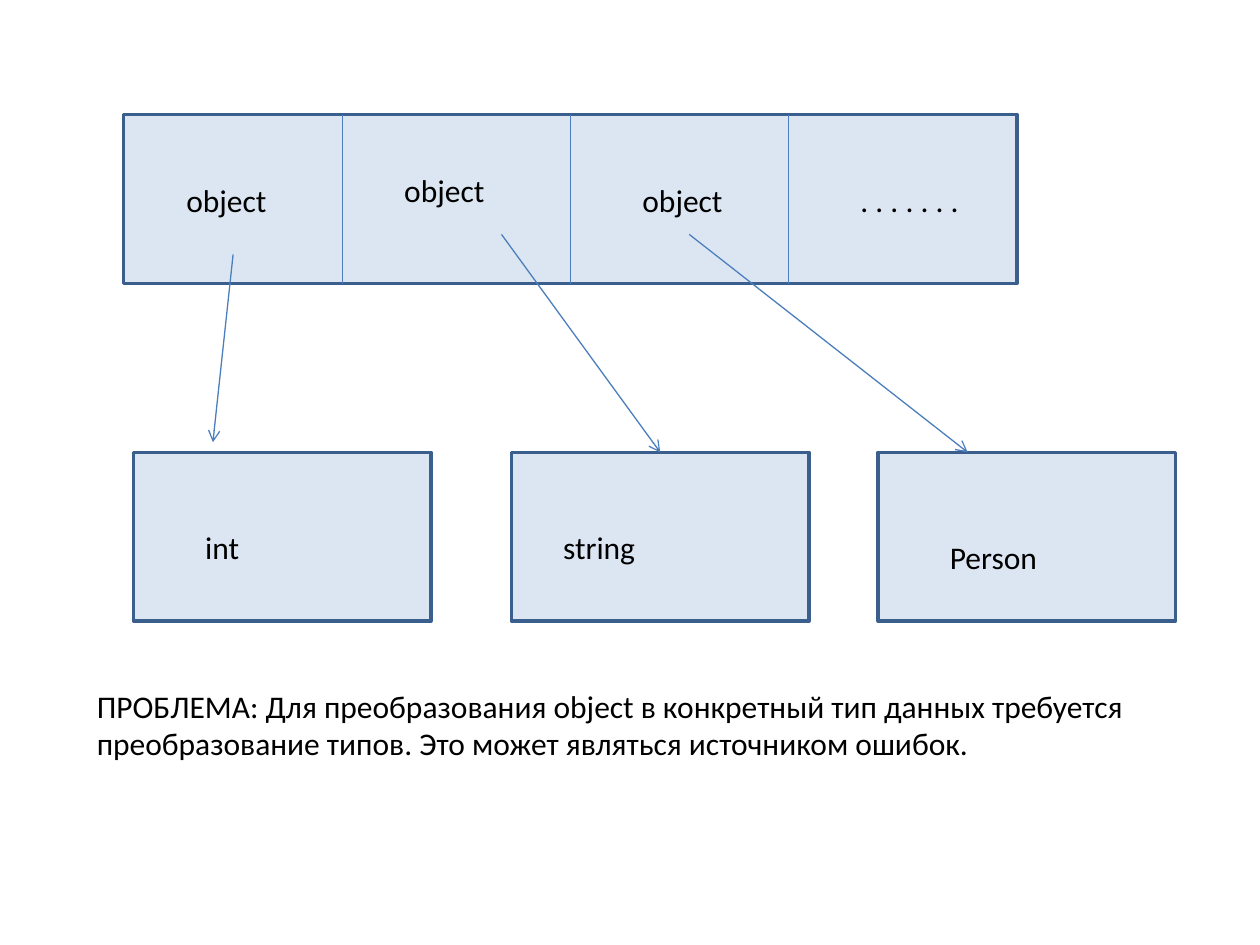
from pptx import Presentation
from pptx import util as u
from pptx.dml.color import RGBColor
from pptx.enum import shapes, text
from pptx.oxml.ns import qn
from lxml import etree

# Content: positions and sizes in inches
COLORS = {"fill": "DCE6F2", "border": "3A5F8C", "line": "4B7EBC", "text": "000000"}
ARRAY = (0.98, 0.91, 7.09, 1.34)
DIVIDERS = [2.72, 4.53, 6.26]
BOX_TOP, BOX_W, BOX_H = 3.59, 2.36, 1.34
BOX_LEFTS = [1.06, 4.06, 6.97]
# start, end, index of the box joined at its top middle
ARROWS = [
    ((1.85, 2.02), (1.69, 3.51), None),
    ((3.98, 1.86), (5.24, BOX_TOP), 1),
    ((5.47, 1.86), (7.68, BOX_TOP), None),
]
LABELS = [
    ("object", 1.38, 1.39, 0.95, 0.4),
    ("object", 3.11, 1.31, 0.95, 0.4),
    ("object", 5.0, 1.39, 0.95, 0.4),
    (". . . . . . .", 6.73, 1.39, 1.02, 0.4),
    ("int", 1.53, 4.14, 1.34, 0.4),
    ("string", 4.37, 4.14, 1.81, 0.4),
    ("Person", 7.44, 4.22, 1.42, 0.4),
    ("ПРОБЛЕМА: Для преобразования object в конкретный тип данных требуется "
     "преобразование типов. Это может являться источником ошибок.",
     0.67, 5.4, 8.66, 0.71),
]

prs = Presentation()
prs.slide_width, prs.slide_height = u.Inches(10), u.Inches(7.5)
s = prs.slides.add_slide(prs.slide_layouts[6])


def color(name):
    return RGBColor.from_string(COLORS[name])


def add_box(*at):
    sp = s.shapes.add_shape(shapes.MSO_SHAPE.RECTANGLE, *map(u.Inches, at))
    sp.shadow.inherit = False
    sp.fill.solid()
    sp.fill.fore_color.rgb = color("fill")
    sp.line.color.rgb = color("border")
    sp.line.width = u.Pt(2)
    return sp


def add_line(start, end, arrow=False):
    cx = s.shapes.add_connector(shapes.MSO_CONNECTOR.STRAIGHT,
                                *map(u.Inches, start + end))
    cx.line.color.rgb = color("line")
    cx.line.width = u.Pt(0.75)
    if arrow:
        etree.SubElement(cx.line._get_or_add_ln(), qn("a:tailEnd"), type="arrow")
    etree.SubElement(cx._element.spPr, qn("a:effectLst"))
    return cx


def add_label(words, *at):
    tf = s.shapes.add_textbox(*map(u.Inches, at)).text_frame
    tf.word_wrap = True
    tf.auto_size = text.MSO_AUTO_SIZE.SHAPE_TO_FIT_TEXT
    p = tf.paragraphs[0]
    p.text = words
    p.font.name = "Calibri"
    p.font.size = u.Pt(18)
    p.font.color.rgb = color("text")


# Array of references, split into cells
add_box(*ARRAY)
for x in DIVIDERS:
    add_line((x, ARRAY[1]), (x, ARRAY[1] + ARRAY[3]))

# Concrete objects
boxes = [add_box(x, BOX_TOP, BOX_W, BOX_H) for x in BOX_LEFTS]

# References to the objects
for start, end, target in ARROWS:
    cx = add_line(start, end, arrow=True)
    if target is not None:
        cx.end_connect(boxes[target], 0)

# Labels and conclusion
for label in LABELS:
    add_label(*label)

prs.save("out.pptx")
